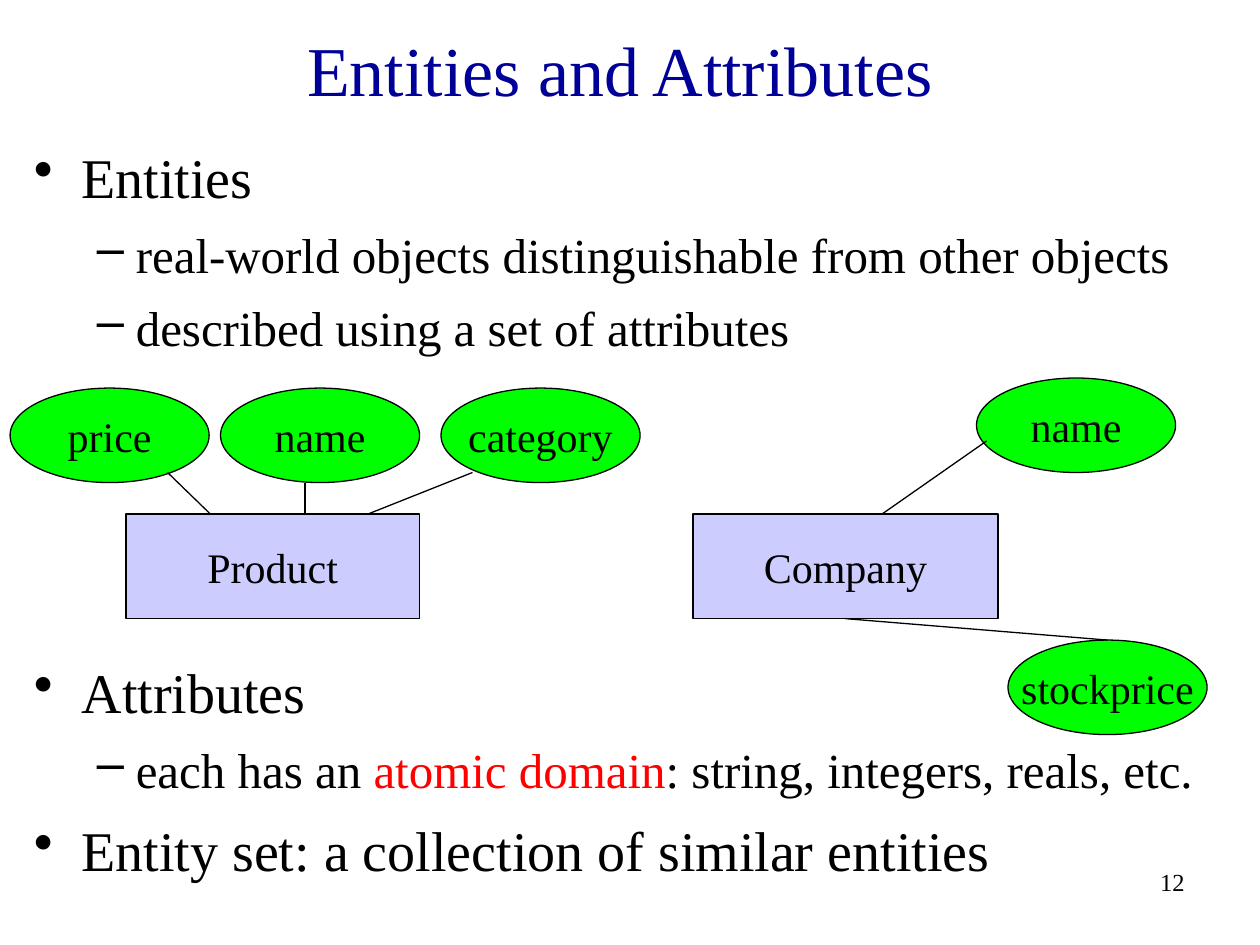
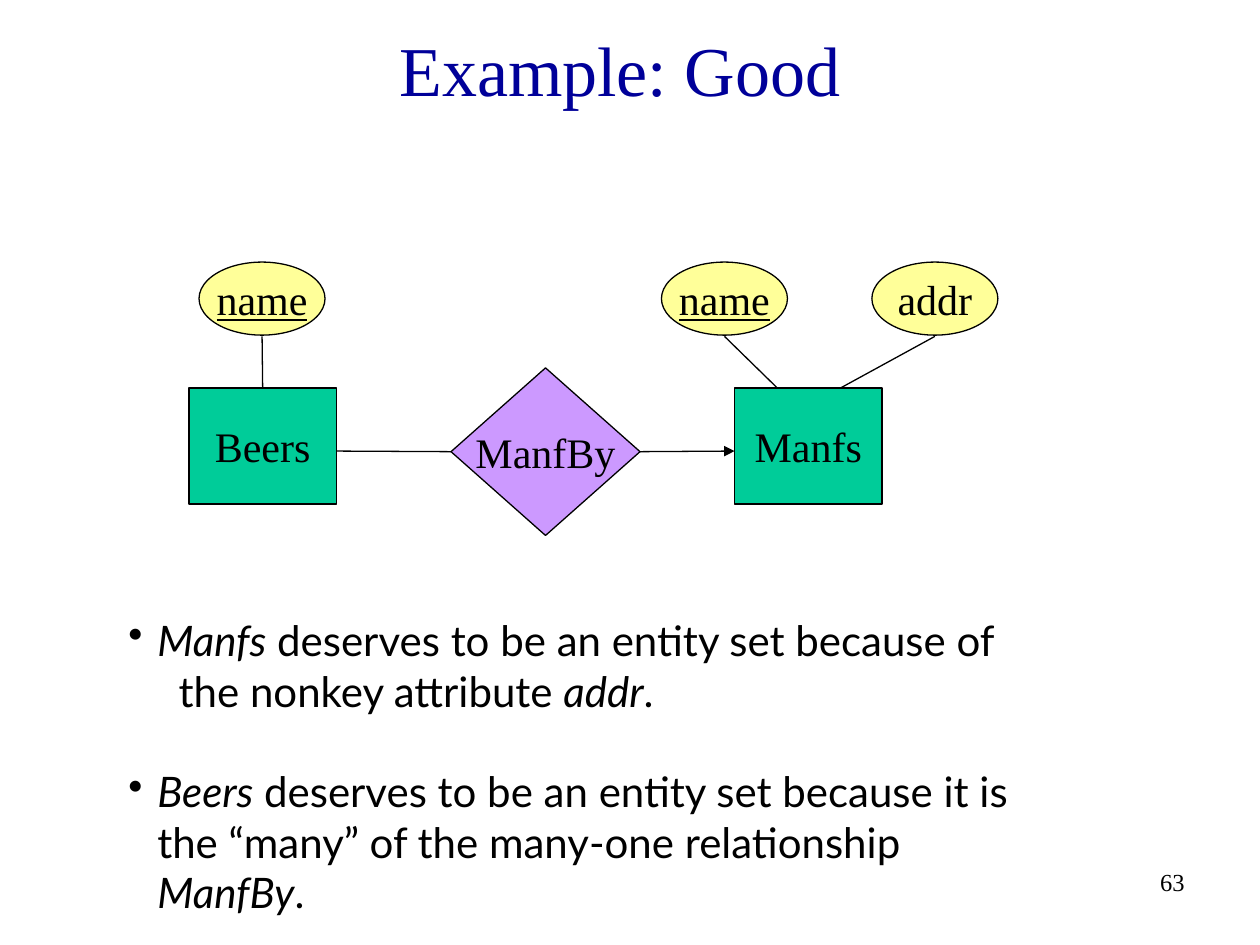
from lxml import etree
from pptx import Presentation
from pptx.dml.color import RGBColor
from pptx.enum.shapes import MSO_CONNECTOR, MSO_SHAPE
from pptx.enum.text import MSO_ANCHOR, PP_ALIGN
from pptx.oxml.ns import qn
from pptx.util import Inches, Pt

RECT, OVAL, DIAMOND = MSO_SHAPE.RECTANGLE, MSO_SHAPE.OVAL, MSO_SHAPE.DIAMOND
LINE = MSO_CONNECTOR.STRAIGHT
LEFT, MID, RIGHT = PP_ALIGN.LEFT, PP_ALIGN.CENTER, PP_ALIGN.RIGHT
TOP, CENTER = MSO_ANCHOR.TOP, MSO_ANCHOR.MIDDLE

SERIF, SANS = "Times New Roman", "Lato"
BLACK, NAVY, RED = "000000", "000099", "FF0000"

# Kind: outline, fill, width, height
ENTITY = (RECT, "CCCCFF", 2.33, 0.83)
WIDE = (RECT, "CCCCFF", 2.42, 0.83)
ATTR = (OVAL, "00FF00", 1.58, 0.75)
SET = (RECT, "00CC99", 1.17, 0.92)
FIELD = (OVAL, "FFFF99", 1, 0.58)
RELATION = (DIAMOND, "CC99FF", 1.5, 1.33)

# Paragraph level: bullet, text left, hanging indent, size, space before, font
LEVELS = {
    "main": ("•", 0.38, 0.38, 32, 9.6, SERIF),
    "sub": ("–", 0.81, 0.31, 28, 8.4, SERIF),
    "note": ("•", 0.23, 0.23, 24, 28.8, SANS),
    "more": (None, 0.4, 0, 24, 0, SANS),
}
DIAGRAM_GAP = 172

# A run is text or (text, format); a paragraph is level, runs, own space before
SLIDES = [
    dict(
        title="Entities and Attributes", number="12",
        box=(0.17, 1.08, 9.5, 5.92),
        paras=[
            ("main", ["Entities"]),
            ("sub", ["real-world objects distinguishable from other objects"]),
            ("sub", ["described using a set of attributes"]),
            ("main", ["Attributes"], DIAGRAM_GAP),
            ("sub", ["each has an ", ("atomic domain", dict(color=RED)),
                     ": string, integers, reals, etc."]),
            ("main", ["Entity set: a collection of similar entities"]),
        ],
        nodes=[
            ("Product", ENTITY, 1, 4.08),
            ("name", ATTR, 1.75, 3.08),
            ("category", ATTR, 3.5, 3.08),
            ("price", ATTR, 0.08, 3.08),
            ("Company", WIDE, 5.5, 4.08),
            ("stockprice", ATTR, 8, 5.08),
            ("name", ATTR, 7.75, 3),
        ],
        links=[
            (1.67, 4.08, 1.33, 3.75),
            (2.42, 4.08, 2.42, 3.83),
            (2.92, 4.08, 3.75, 3.75),
            (7, 4.08, 7.83, 3.5),
            (6.71, 4.92, 8.79, 5.08),
        ],
    ),
    dict(
        title="Example: Good", number="63",
        box=(0.92, 4.83, 7.4, 2.56),
        paras=[
            ("note", [("Manfs", dict(italic=True)),
                      " deserves to be an entity set because of"]),
            ("more", ["the nonkey attribute ",
                      ("addr", dict(italic=True)), "."]),
            ("note", [("Beers", dict(italic=True)),
                      " deserves to be an entity set because it is the "
                      "“many” of the many-one relationship ",
                      ("ManfBy", dict(italic=True)), "."]),
        ],
        nodes=[
            ("Beers", SET, 1.5, 3.08),
            ("Manfs", SET, 5.83, 3.08),
            ("ManfBy", RELATION, 3.58, 2.92),
            ("name", FIELD, 1.58, 2.08, True),
            ("name", FIELD, 5.25, 2.08, True),
            ("addr", FIELD, 6.92, 2.08),
        ],
        links=[
            (3.58, 3.58, 2.67, 3.58),
            (2.08, 2.67, 2.08, 3.08),
            (5.75, 2.67, 6.17, 3.08),
            (7.42, 2.67, 6.67, 3.08),
            (5.08, 3.58, 5.83, 3.58, True),
        ],
    ),
]


def rgb(code):
    return RGBColor.from_string(code)


def write(para, text, size=24, font=SERIF, color=BLACK, align=None,
          italic=False, under=False):
    """Add one formatted run to a paragraph."""
    if align is not None:
        para.alignment = align
    run = para.add_run()
    run.text = text
    face = run.font
    face.size, face.name = Pt(size), font
    face.italic, face.underline = italic, under
    face.color.rgb = rgb(color)


def add_box(slide, place, anchor=TOP):
    frame = slide.shapes.add_textbox(*map(Inches, place)).text_frame
    frame.word_wrap = True
    frame.vertical_anchor = anchor
    return frame


def set_bullet(para, mark, left, hang):
    props = para._p.get_or_add_pPr()
    props.set("marL", str(Inches(left)))
    props.set("indent", str(-Inches(hang)))
    if mark:
        tint = etree.SubElement(props, qn("a:buClr"))
        etree.SubElement(tint, qn("a:srgbClr"), val=BLACK)
        etree.SubElement(props, qn("a:buChar"), char=mark)
    else:
        etree.SubElement(props, qn("a:buNone"))


def add_list(slide, place, paras):
    frame = add_box(slide, place)
    for i, (level, runs, *gap) in enumerate(paras):
        mark, left, hang, size, before, font = LEVELS[level]
        para = frame.add_paragraph() if i else frame.paragraphs[0]
        set_bullet(para, mark, left, hang)
        para.alignment = LEFT
        para.space_before = Pt((gap[0] if gap else before) if i else 0)
        for run in runs:
            text, style = (run, {}) if isinstance(run, str) else run
            write(para, text, size=size, font=font, **style)


def add_node(slide, text, kind, left, top, under=False):
    form, fill, width, height = kind
    node = slide.shapes.add_shape(form, *map(Inches, (left, top, width, height)))
    node.shadow.inherit = False
    node.fill.solid()
    node.fill.fore_color.rgb = rgb(fill)
    node.line.color.rgb = rgb(BLACK)
    node.line.width = Pt(0.75)
    frame = node.text_frame
    frame.word_wrap = False
    frame.vertical_anchor = CENTER
    write(frame.paragraphs[0], text, align=MID, under=under)
    return node


def find_site(nodes, x, y):
    """Return the node and site index whose side middle lies at x, y."""
    near = Inches(0.02)
    for node in nodes:
        if node.auto_shape_type == OVAL:
            continue
        l, t, w, h = node.left, node.top, node.width, node.height
        sites = [(l + w / 2, t), (l, t + h / 2), (l + w / 2, t + h), (l + w, t + h / 2)]
        for i, (sx, sy) in enumerate(sites):
            if abs(sx - x) < near and abs(sy - y) < near:
                return node, i
    return None


def add_link(slide, nodes, x1, y1, x2, y2, arrow=False):
    ends = [Inches(v) for v in (x1, y1, x2, y2)]
    link = slide.shapes.add_connector(LINE, *ends)
    link.line.color.rgb = rgb(BLACK)
    link.line.width = Pt(0.75)
    if arrow:
        etree.SubElement(link.line._get_or_add_ln(), qn("a:tailEnd"), type="triangle")
    etree.SubElement(link._element.spPr, qn("a:effectLst"))
    for join, point in ((link.begin_connect, ends[:2]), (link.end_connect, ends[2:])):
        site = find_site(nodes, *point)
        if site:
            join(*site)


def main():
    deck = Presentation()
    deck.slide_width, deck.slide_height = Inches(10), Inches(7.5)
    for data in SLIDES:
        slide = deck.slides.add_slide(deck.slide_layouts[6])
        number = add_box(slide, (7.42, 6.83, 2.08, 0.5))
        write(number.paragraphs[0], data["number"], size=14, align=RIGHT)
        title = add_box(slide, (0.17, 0.17, 9.5, 0.75), CENTER)
        write(title.paragraphs[0], data["title"], size=40, color=NAVY, align=MID)
        add_list(slide, data["box"], data["paras"])
        nodes = [add_node(slide, *node) for node in data["nodes"]]
        for link in data["links"]:
            add_link(slide, nodes, *link)
    deck.save("out.pptx")


if __name__ == "__main__":
    main()
